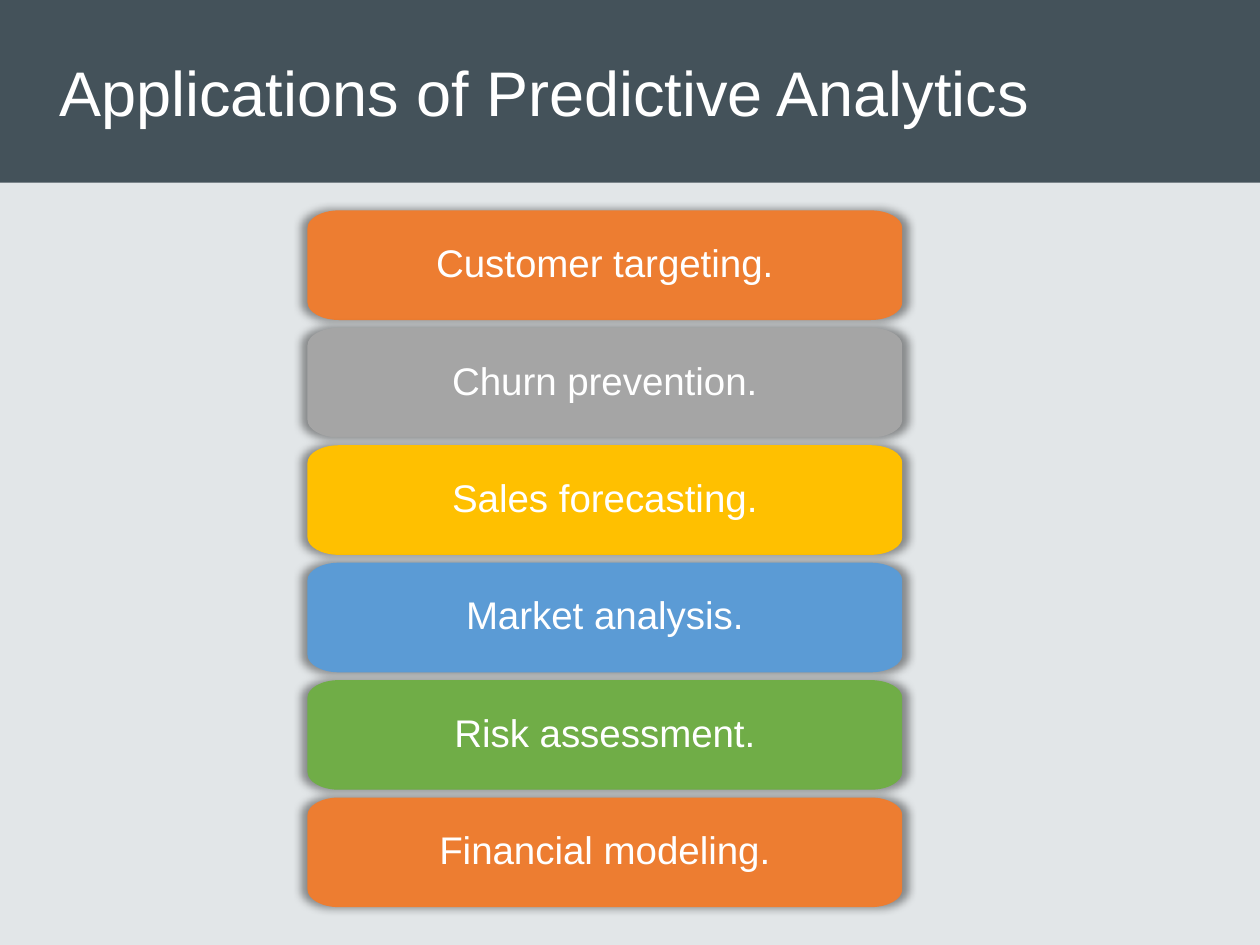
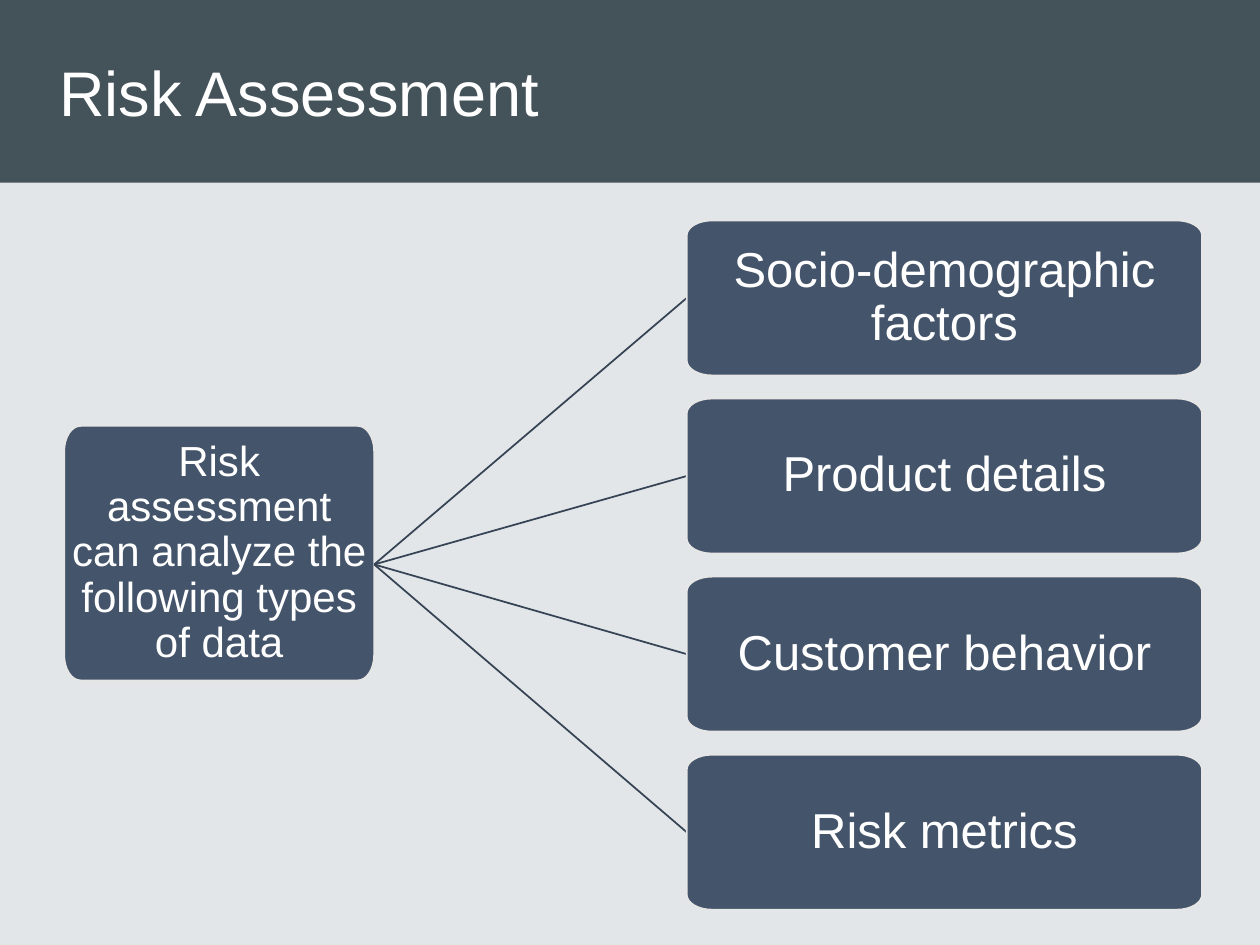
from lxml import etree
from pptx import Presentation
from pptx.dml.color import RGBColor
from pptx.enum.shapes import MSO_CONNECTOR, MSO_SHAPE
from pptx.enum.text import MSO_ANCHOR, MSO_AUTO_SIZE, PP_ALIGN
from pptx.oxml.ns import qn
from pptx.util import Inches, Pt

RECTANGLE = MSO_SHAPE.RECTANGLE
STRAIGHT = MSO_CONNECTOR.STRAIGHT
MIDDLE = MSO_ANCHOR.MIDDLE
NO_AUTOFIT = MSO_AUTO_SIZE.NONE
LEFT = PP_ALIGN.LEFT
CENTER = PP_ALIGN.CENTER

FONT = "Arial"
TITLE_ONLY_LAYOUT = 5
CURVE_RATIO = 0.55
COLORS = {
    "background": "E2E6E8",
    "band": "44525A",
    "text": "FFFFFF",
    "orange": "ED7D31",
    "gray": "A5A5A5",
    "gold": "FFC000",
    "blue": "5B9BD5",
    "green": "70AD47",
    "slate": "44546A",
    "outline": "E7E6E6",
    "branch": "364355",
    "shadow": "000000",
}
APPLICATIONS = [
    ("Customer targeting.", "orange"),
    ("Churn prevention.", "gray"),
    ("Sales forecasting.", "gold"),
    ("Market analysis.", "blue"),
    ("Risk assessment.", "green"),
    ("Financial modeling.", "orange"),
]
RISK_DATA = [
    "Socio-demographic factors",
    "Product details",
    "Customer behavior",
    "Risk metrics",
]


def color(name):
    return RGBColor.from_string(COLORS[name])


def write_text(shape, text, size, align=CENTER, line_spacing=0.9, insets=(0.1, 0.05)):
    frame = shape.text_frame
    frame.word_wrap = True
    frame.auto_size = NO_AUTOFIT
    frame.vertical_anchor = MIDDLE
    frame.margin_left = frame.margin_right = Inches(insets[0])
    frame.margin_top = frame.margin_bottom = Inches(insets[1])
    frame.text = text
    paragraph = frame.paragraphs[0]
    paragraph.alignment = align
    paragraph.line_spacing = line_spacing
    paragraph.font.name = FONT
    paragraph.font.size = Pt(size)
    paragraph.font.color.rgb = color("text")


def corner_points(left, top, width, height, radius_x, radius_y):
    right, bottom = left + width, top + height
    points = [
        (left, top + radius_y), (left + radius_x, top),
        (right - radius_x, top), (right, top + radius_y),
        (right, bottom - radius_y), (right - radius_x, bottom),
        (left + radius_x, bottom), (left, bottom - radius_y),
        (left, top + radius_y),
    ]
    return [(Inches(x), Inches(y)) for x, y in points]


def curve_corners(shape):
    points = [(int(point.get("x")), int(point.get("y"))) for point in shape.element.iter(qn("a:pt"))]
    segments = list(shape.element.iter(qn("a:lnTo")))
    for index in range(0, 8, 2):
        start, end = points[index], points[index + 1]
        corner = (start[0], end[1]) if index % 4 == 0 else (end[0], start[1])
        curve = etree.Element(qn("a:cubicBezTo"))
        controls = [
            [round(a + CURVE_RATIO * (b - a)) for a, b in zip(anchor, corner)]
            for anchor in (start, end)
        ]
        for x, y in (*controls, end):
            etree.SubElement(curve, qn("a:pt"), x=str(x), y=str(y))
        segment = segments[index]
        segment.getparent().replace(segment, curve)


class Deck:
    def __init__(self):
        self.presentation = Presentation()
        self.presentation.slide_width = Inches(10)
        self.presentation.slide_height = Inches(7.5)
        self.layout = self.presentation.slide_layouts[TITLE_ONLY_LAYOUT]
        background = self.layout.background.fill
        background.solid()
        background.fore_color.rgb = color("background")
        self.slide = None

    def add_slide(self, title):
        first = self.slide is None
        self.slide = self.presentation.slides.add_slide(self.layout)
        if first:
            self.add_layout_band()
        self.add_title(title)

    def add_layout_band(self):
        band = self.slide.shapes.add_shape(RECTANGLE, 0, 0, Inches(10), Inches(1.45))
        band.shadow.inherit = False
        band.fill.solid()
        band.fill.fore_color.rgb = color("band")
        band.line.fill.background()
        self.layout.shapes.element.insert(2, band.element)

    def add_title(self, text):
        title = self.slide.shapes.title
        title.left, title.top = Inches(0.37), Inches(0)
        title.width, title.height = Inches(9.17), Inches(1.45)
        write_text(title, text, size=36, align=LEFT, line_spacing=1.0)

    def add_card(self, text, bounds, radii, size, fill, insets, outlined=False):
        points = corner_points(*bounds, *radii)
        builder = self.slide.shapes.build_freeform(*points[0])
        builder.add_line_segments(points[1:], close=True)
        card = builder.convert_to_shape()
        curve_corners(card)
        card.shadow.inherit = False
        card.fill.solid()
        card.fill.fore_color.rgb = color(fill)
        if outlined:
            card.line.color.rgb = color("outline")
            card.line.width = Pt(1)
        else:
            card.line.fill.background()
        write_text(card, text, size=size, insets=insets)
        return card

    def add_glow_shadow(self, shape):
        effects = shape.element.spPr.find(qn("a:effectLst"))
        shadow = etree.SubElement(
            effects, qn("a:outerShdw"), blurRad=str(Pt(5)),
            sx="102000", sy="102000", algn="ctr", rotWithShape="0",
        )
        shade = etree.SubElement(shadow, qn("a:srgbClr"), val=COLORS["shadow"])
        etree.SubElement(shade, qn("a:alpha"), val="40000")

    def add_branch(self, start, end):
        ends = [Inches(value) for value in (*start, *end)]
        branch = self.slide.shapes.add_connector(STRAIGHT, *ends)
        branch.line.color.rgb = color("branch")
        branch.line.width = Pt(1)
        etree.SubElement(branch.element.spPr, qn("a:effectLst"))


def build_applications(deck):
    deck.add_slide("Applications of Predictive Analytics")
    top, last_top = 1.67, 6.33
    pitch = (last_top - top) / (len(APPLICATIONS) - 1)
    for index, (text, fill) in enumerate(APPLICATIONS):
        bounds = (2.44, top + index * pitch, 4.72, 0.87)
        card = deck.add_card(text, bounds, (0.25, 0.14), 22, fill, (0.13, 0.09))
        deck.add_glow_shadow(card)


def build_risk_assessment(deck):
    deck.add_slide("Risk Assessment")
    card_style = {"fill": "slate", "insets": (0.05, 0.05), "outlined": True}
    deck.add_card(
        "Risk assessment can analyze the following types of data",
        (0.51, 3.38, 2.46, 2.02), (0.13, 0.2), 24, **card_style,
    )
    left, top, width, height = 5.45, 1.75, 4.09, 1.23
    pitch = (7.22 - top - height) / (len(RISK_DATA) - 1)
    for index, text in enumerate(RISK_DATA):
        card_top = top + index * pitch
        deck.add_branch((2.97, 4.48), (left, card_top + height / 2))
        deck.add_card(text, (left, card_top, width, height), (0.2, 0.12), 28, **card_style)


def main():
    deck = Deck()
    build_applications(deck)
    build_risk_assessment(deck)
    deck.presentation.save("out.pptx")


if __name__ == "__main__":
    main()
